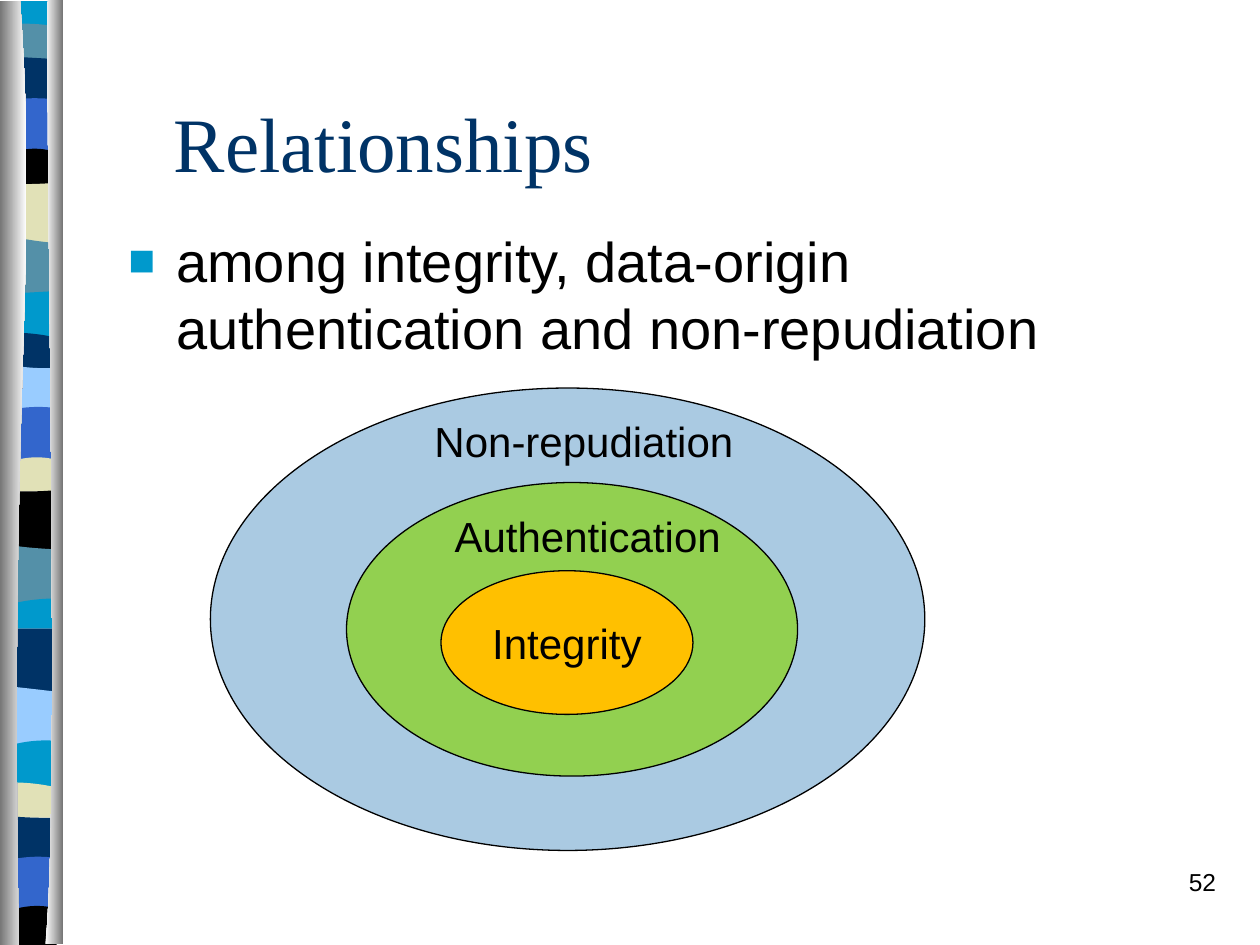
from lxml.etree import SubElement
from pptx import Presentation
from pptx.dml.color import RGBColor
from pptx.enum.shapes import MSO_SHAPE
from pptx.enum.text import MSO_ANCHOR, PP_ALIGN
from pptx.oxml.ns import qn
from pptx.util import Inches, Pt

COLORS = {
    "white": "FFFFFF", "black": "000000", "gray": "767676",
    "navy": "003366", "cyan": "0099CC", "teal": "5490A8",
    "blue": "3366CC", "sand": "E1E1B7", "sky": "99CCFF",
    "outer": "AACAE2", "middle": "92D050", "inner": "FFC000",
}

RIBBON_BANDS = [
    ("cyan", 0.01, 0.01, 0.01), ("teal", 0.19, 0.19, 0.21),
    ("navy", 0.45, 0.46, 0.47), ("blue", 0.79, 0.78, 0.79),
    ("black", 1.21, 1.18, 1.21), ("sand", 1.46, 1.46, 1.45),
    ("teal", 1.88, 1.91, 1.93), ("cyan", 2.33, 2.32, 2.31),
    ("navy", 2.64, 2.65, 2.68), ("sky", 2.90, 2.92, 2.92),
    ("blue", 3.25, 3.23, 3.24), ("sand", 3.66, 3.63, 3.65),
    ("black", 3.90, 3.90, 3.89), ("teal", 4.33, 4.35, 4.36),
    ("cyan", 4.79, 4.76, 4.75), ("navy", 4.99, 4.99, 4.99),
    ("sky", 5.45, 5.47, 5.49), ("cyan", 5.91, 5.88, 5.88),
    ("sand", 6.21, 6.22, 6.25), ("navy", 6.48, 6.49, 6.49),
    ("blue", 6.82, 6.80, 6.81), ("black", 7.22, 7.19, 7.21),
]


def rgb(name):
    return RGBColor.from_string(COLORS[name])


def bezier(start, first, second, end, steps=24):
    points = []
    for step in range(steps + 1):
        t = step / steps
        weights = ((1 - t) ** 3, 3 * t * (1 - t) ** 2, 3 * t * t * (1 - t), t ** 3)
        points.append(tuple(
            sum(weight * value for weight, value in zip(weights, values))
            for values in zip(start, first, second, end)
        ))
    return points


def write_text(frame, text, size=24, font="Arial", color="black",
               align=PP_ALIGN.LEFT, anchor=MSO_ANCHOR.TOP, wrap=True, bullet=None):
    frame.word_wrap = wrap
    frame.vertical_anchor = anchor
    para = frame.paragraphs[0]
    para.alignment = align
    if bullet:
        properties = para._p.get_or_add_pPr()
        properties.set("marL", str(Inches(0.38)))
        properties.set("indent", str(-Inches(0.38)))
        bullet_color = SubElement(properties, qn("a:buClr"))
        SubElement(bullet_color, qn("a:srgbClr"), val=COLORS["cyan"])
        SubElement(properties, qn("a:buSzPct"), val="80000")
        SubElement(properties, qn("a:buFont"), typeface=font)
        SubElement(properties, qn("a:buChar"), char=bullet)
    span = para.add_run()
    span.text = text
    span.font.size = Pt(size)
    span.font.name = font
    span.font.color.rgb = rgb(color)


def add_text(page, text, left, top, width, height, **text_format):
    box = page.shapes.add_textbox(Inches(left), Inches(top), Inches(width), Inches(height))
    write_text(box.text_frame, text, **text_format)


def add_outline(page, points):
    corners = [(Inches(x), Inches(y)) for x, y in points]
    builder = page.shapes.build_freeform(*corners[0])
    builder.add_line_segments(corners[1:], close=True)
    outline = builder.convert_to_shape()
    outline.shadow.inherit = False
    outline.line.fill.background()
    return outline


def add_ribbon(page, left, right, bottom):
    bottoms = [max(band[1:]) for band in RIBBON_BANDS[1:]] + [bottom]
    for (color, start, middle, end), base in zip(RIBBON_BANDS, bottoms):
        third = (right - left) / 3
        control = (4 * middle - start - end) / 2
        top_edge = bezier(
            (left, start), (left + third, (start + 2 * control) / 3),
            (right - third, (end + 2 * control) / 3), (right, end), steps=10,
        )
        band = add_outline(page, top_edge + [(right, base), (left, base)])
        band.fill.solid()
        band.fill.fore_color.rgb = rgb(color)


def add_rail(page, straight_edge, curve):
    edge = bezier(*curve)
    rail = add_outline(page, edge + [(straight_edge, edge[-1][1]), (straight_edge, edge[0][1])])
    rail.fill.gradient()
    rail.fill.gradient_angle = 0
    shades = ("gray", "white") if straight_edge < edge[0][0] else ("white", "gray")
    for stop, (position, shade) in zip(rail.fill.gradient_stops, enumerate(shades)):
        stop.position = position
        stop.color.rgb = rgb(shade)


def add_side_border(page):
    add_ribbon(page, 0.1, 0.45, 7.5)
    add_rail(page, 0, ((0.16, 0.01), (0.31, 2.17), (0.07, 2.96), (0.15, 7.5)))
    add_rail(page, 0.5, ((0.38, 0), (0.36, 1.25), (0.48, 6.46), (0.36, 7.49)))


def add_title(page, text, left, top, width, height):
    title = page.shapes.title
    title.left, title.top = Inches(left), Inches(top)
    title.width, title.height = Inches(width), Inches(height)
    write_text(title.text_frame, text, size=44, font="Times New Roman",
               color="navy", anchor=MSO_ANCHOR.MIDDLE)


def add_ellipse(page, color, left, top, width, height):
    ellipse = page.shapes.add_shape(
        MSO_SHAPE.OVAL, Inches(left), Inches(top), Inches(width), Inches(height))
    ellipse.shadow.inherit = False
    ellipse.fill.solid()
    ellipse.fill.fore_color.rgb = rgb(color)
    ellipse.line.color.rgb = rgb("black")
    ellipse.line.width = Pt(0.75)
    return ellipse


def add_nested_ellipses(page, left, top):
    add_ellipse(page, "outer", left, top, 5.67, 3.67)
    add_ellipse(page, "middle", left + 1.08, top + 0.75, 3.58, 2.33)
    core = add_ellipse(page, "inner", left + 1.83, top + 1.45, 2, 1.14)
    write_text(core.text_frame, "Integrity", align=PP_ALIGN.CENTER,
               anchor=MSO_ANCHOR.MIDDLE, wrap=False)
    add_text(page, "Authentication", left + 1.84, top + 0.92, 2.31, 0.5, wrap=False)
    add_text(page, "Non-repudiation", left + 1.68, top + 0.17, 2.57, 0.5, wrap=False)


def main():
    deck = Presentation()
    deck.slide_width, deck.slide_height = Inches(10), Inches(7.5)
    page = deck.slides.add_slide(deck.slide_layouts[5])
    add_side_border(page)
    add_title(page, "Relationships", 1.28, 0.5, 8.5, 1.25)
    add_text(page, "among integrity, data-origin authentication and non-repudiation",
             0.92, 1.75, 8.5, 1.25, size=32, bullet="■")
    add_nested_ellipses(page, 1.67, 3.08)
    add_text(page, "52", 7.67, 6.83, 2.08, 0.5, size=14, align=PP_ALIGN.RIGHT)
    deck.save("out.pptx")


if __name__ == "__main__":
    main()
